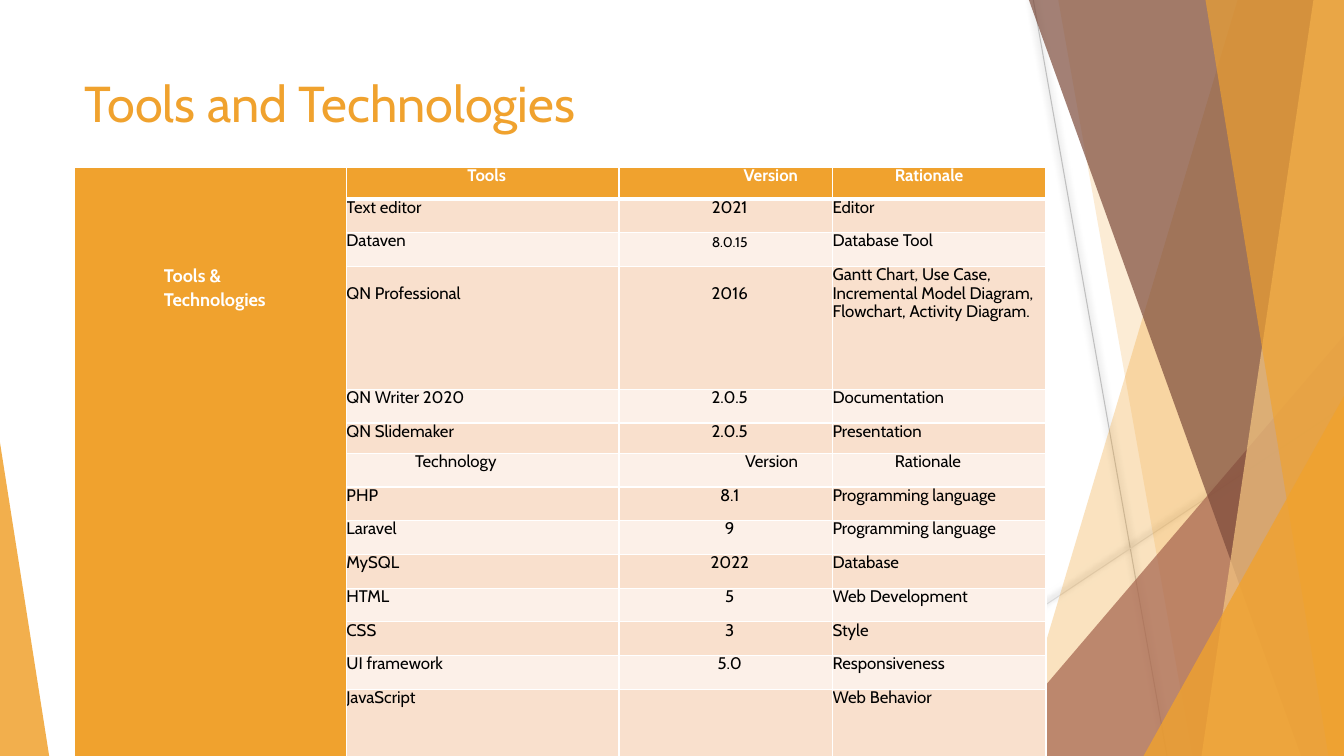
from dataclasses import dataclass

from lxml.etree import SubElement
from pptx import Presentation
from pptx.dml.color import RGBColor
from pptx.enum.shapes import MSO_CONNECTOR, MSO_SHAPE
from pptx.enum.text import MSO_ANCHOR, PP_ALIGN
from pptx.oxml.ns import qn
from pptx.util import Cm, Pt


@dataclass(frozen=True)
class Theme:
    font: str = "Cabin"
    accent: str = "F0A22E"
    pale: str = "F6C782"
    rust: str = "A5644E"
    brown: str = "7C4B3B"
    band_dark: str = "F9E0CD"
    band_light: str = "FCF0E8"
    white: str = "FFFFFF"
    black: str = "000000"
    title: float = 36
    label: float = 13
    body: float = 12
    small: float = 10


T = Theme()
LEFT, CENTER, RIGHT = PP_ALIGN.LEFT, PP_ALIGN.CENTER, PP_ALIGN.RIGHT

# Alignment, left inset and right inset (cm) of the three text columns
BODY = ((LEFT, 0, 0), (CENTER, 0.2, 0), (LEFT, 0, 0))
TOOLS_HEAD = ((CENTER, 0.2, 0), (RIGHT, 0, 0.87), (LEFT, 1.57, 0))
TECH_HEAD = ((LEFT, 1.73, 0), (RIGHT, 0, 0.87), (LEFT, 1.57, 0))

ROWS = (
    ("Tools", "Version", "Rationale"),
    ("Text editor", "2021", "Editor"),
    ("Dataven", "8.0.15", "Database Tool"),
    ("QN Professional", "2016", "Gantt Chart, Use Case, Incremental Model "
     "Diagram, Flowchart, Activity Diagram."),
    ("QN Writer 2020", "2.0.5", "Documentation"),
    ("QN Slidemaker", "2.0.5", "Presentation"),
    ("Technology", "Version", "Rationale"),
    ("PHP", "8.1", "Programming language"),
    ("Laravel", "9", "Programming language"),
    ("MySQL", "2022", "Database"),
    ("HTML", "5", "Web Development"),
    ("CSS", "3", "Style"),
    ("UI framework", "5.0", "Responsiveness"),
    ("JavaScript", "", "Web Behavior"),
)
DIAGRAM_ROW, TECH_ROW = 3, 6
COLUMN_WIDTHS = (6.85, 6.87, 5.38, 5.38)
ROW_HEIGHT = 0.85
SPECIAL_HEIGHTS = {0: 0.79, DIAGRAM_ROW: 3.1, 5: 0.76, 13: 1.68}


def write(tf, text, size=T.body, color=T.black, bold=False, align=LEFT, spacing=None):
    """Fill a text frame, one paragraph for each line of text."""
    tf.word_wrap = True
    for i, line in enumerate(text.split("\n")):
        p = tf.paragraphs[0] if i == 0 else tf.add_paragraph()
        p.alignment = align
        p.line_spacing = spacing
        r = p.add_run()
        r.text = line
        r.font.name, r.font.size, r.font.bold = T.font, Pt(size), bold
        r.font.color.rgb = RGBColor.from_string(color)


def paint(sp, color, alpha):
    """Give a shape a see-through fill (alpha in percent) and no line."""
    sp.shadow.inherit = False
    sp.fill.solid()
    sp.fill.fore_color.rgb = RGBColor.from_string(color)
    clr = sp.fill._xPr.find(qn("a:solidFill"))[0]
    SubElement(clr, qn("a:alpha"), val=str(alpha * 1000))
    sp.line.fill.background()


def shadow_line(s, start, end, color):
    line = s.shapes.add_connector(MSO_CONNECTOR.STRAIGHT, *map(Cm, start + end))
    line.line.color.rgb = RGBColor.from_string(color)
    line.line.width = Pt(0.75)
    effects = SubElement(line._element.spPr, qn("a:effectLst"))
    shadow = SubElement(effects, qn("a:outerShdw"), blurRad=str(Pt(5)),
                        dist=str(Pt(2)), dir=str(245 * 60000))
    clr = SubElement(shadow, qn("a:srgbClr"), val=T.black)
    SubElement(clr, qn("a:alpha"), val="50000")


def corner(s, x, bottom, width, height, apex, color, alpha):
    """Draw a right triangle on the bottom edge; apex 0 is left, 1 right."""
    sp = s.shapes.add_shape(MSO_SHAPE.ISOSCELES_TRIANGLE, Cm(x),
                            Cm(bottom - height), Cm(width), Cm(height))
    sp.adjustments[0] = apex
    paint(sp, color, alpha)


def facets(s, x, y, w, h):
    """Draw the overlapping facets, which share the right edge of the box."""
    right, bottom = x + w, y + h

    def slant(top_x, bottom_x, color, alpha):
        fb = s.shapes.build_freeform(Cm(x + top_x), Cm(y))
        fb.add_line_segments([(Cm(right), Cm(y)), (Cm(right), Cm(bottom)),
                              (Cm(x + bottom_x), Cm(bottom))])
        paint(fb.convert_to_shape(), color, alpha)

    def right_corner(width, height, color, alpha):
        corner(s, right - width, bottom, width, height, 1, color, alpha)

    shadow_line(s, (x + 5.42, y), (x + 8.79, bottom), "BFBFBF")
    shadow_line(s, (right, y + 10.24), (x, bottom), "D9D9D9")
    slant(10.57, 4.88, T.accent, 30)
    slant(6.05, 9.43, T.accent, 20)
    right_corner(9.04, 10.59, T.rust, 72)
    slant(5.31, 12.17, T.brown, 70)
    slant(12.48, 9.66, T.pale, 70)
    slant(9.76, 12.86, T.accent, 65)
    right_corner(5.05, 9.07, T.accent, 80)


def title(s, text, x, y, w, h):
    sp = s.shapes.title
    sp.left, sp.top, sp.width, sp.height = map(Cm, (x, y, w, h))
    sp.text_frame.vertical_anchor = MSO_ANCHOR.TOP
    write(sp.text_frame, text, size=T.title, color=T.accent)


def format_cell(cell, fill, bottom_width, left=0, top=0, right=0):
    """Set insets (cm), white borders and fill of a cell."""
    cell.margin_left, cell.margin_top = Cm(left), Cm(top)
    cell.margin_right, cell.margin_bottom = Cm(right), Cm(0)
    tcPr = cell._tc.get_or_add_tcPr()
    for side, width in (("L", 1), ("R", 1), ("T", 1), ("B", bottom_width)):
        ln = SubElement(tcPr, qn(f"a:ln{side}"), w=str(Pt(width)))
        solid = SubElement(ln, qn("a:solidFill"))
        SubElement(solid, qn("a:srgbClr"), val=T.white)
    cell.fill.solid()
    cell.fill.fore_color.rgb = RGBColor.from_string(fill)


def tools_table(s, x, y):
    heights = [SPECIAL_HEIGHTS.get(i, ROW_HEIGHT) for i in range(len(ROWS))]
    table = s.shapes.add_table(len(ROWS), len(COLUMN_WIDTHS), Cm(x), Cm(y),
                               Cm(sum(COLUMN_WIDTHS)), Cm(sum(heights))).table
    for column, width in zip(table.columns, COLUMN_WIDTHS):
        column.width = Cm(width)
    for row, height in zip(table.rows, heights):
        row.height = Cm(height)

    side = table.cell(0, 0)
    side.merge(table.cell(len(ROWS) - 1, 0))
    format_cell(side, T.accent, 3, left=2.25, top=2.43)
    write(side.text_frame, "Tools &\nTechnologies", size=T.label,
          color=T.white, bold=True, spacing=1.07)

    layouts = {0: TOOLS_HEAD, TECH_ROW: TECH_HEAD}
    for i, texts in enumerate(ROWS):
        head = i == 0
        fill = T.accent if head else T.band_dark if i % 2 else T.band_light
        for j, (text, layout) in enumerate(zip(texts, layouts.get(i, BODY))):
            align, left, right = layout
            top = 0.47 if i == DIAGRAM_ROW and j < 2 else 0
            cell = table.cell(i, j + 1)
            format_cell(cell, fill, 3 if head else 1, left, top, right)
            if text:
                write(cell.text_frame, text, bold=head, align=align,
                      size=T.small if text == "8.0.15" else T.body,
                      color=T.white if head else T.black, spacing=Pt(13.2))


def main():
    prs = Presentation()
    prs.slide_width, prs.slide_height = Cm(33.87), Cm(19.05)
    s = prs.slides.add_slide(prs.slide_layouts[5])
    facets(s, 20.62, 0, 13.25, 19.05)
    corner(s, 0, 19.05, 1.24, 7.9, 0, T.accent, 85)
    title(s, "Tools and Technologies", 1.88, 1.7, 23.88, 2.11)
    tools_table(s, 1.88, 4.22)
    prs.save("out.pptx")


if __name__ == "__main__":
    main()
